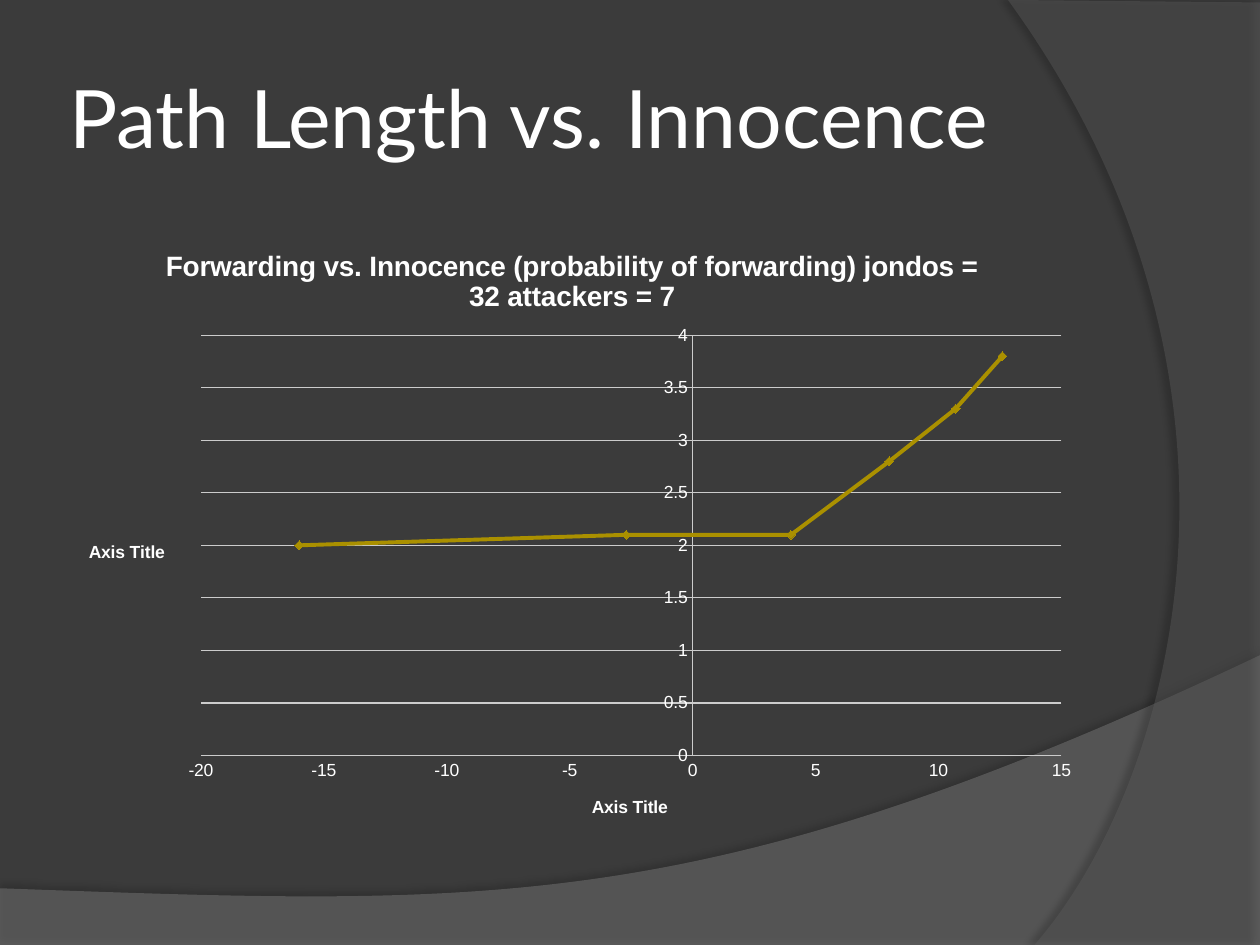
from lxml import etree
from pptx import Presentation
from pptx.chart.data import XyChartData
from pptx.dml.color import RGBColor
from pptx.enum.chart import XL_CHART_TYPE, XL_MARKER_STYLE, XL_TICK_MARK
from pptx.enum.text import MSO_ANCHOR, PP_ALIGN
from pptx.oxml import parse_xml
from pptx.oxml.ns import nsdecls, qn
from pptx.util import Inches, Pt

SCATTER_LINES = XL_CHART_TYPE.XY_SCATTER_LINES
DIAMOND = XL_MARKER_STYLE.DIAMOND
NO_TICK = XL_TICK_MARK.NONE
MIDDLE = MSO_ANCHOR.MIDDLE
LEFT = PP_ALIGN.LEFT

BACKGROUND = RGBColor(0x3B, 0x3B, 0x3B)
WHITE = RGBColor(0xFF, 0xFF, 0xFF)
GRID = RGBColor(0xCC, 0xCC, 0xCC)
GOLD = RGBColor(0xAA, 0x90, 0x00)
LOWER_GRAY = RGBColor(0x7F, 0x7F, 0x7F)
RIGHT_GRAY = RGBColor(0x5E, 0x5E, 0x5E)

TITLE = "Path Length vs. Innocence"
CHART_TITLE = ("Forwarding vs. Innocence (probability of forwarding) "
               "jondos = 32 attackers = 7")
AXIS_TITLE = "Axis Title"
POINTS = [(-16, 2), (-2.7, 2.1), (4, 2.1), (8, 2.8), (10.7, 3.3), (12.6, 3.8)]
PLOT_AREA = {"x": 0.134, "y": 0.184, "w": 0.836, "h": 0.674}
TITLE_AREA = {"x": 0.095, "y": 0.036}
SWEEPS = [
    {"corners": [(0, 7.05), (0, 7.51), (10, 7.51), (10, 5.2)],
     "curve": [(5.59, 7.29), (3.91, 7.19), (0, 7.05)],
     "color": LOWER_GRAY, "opacity": 45,
     "shadow": {"opacity": 35, "blur": 4, "distance": 3.5, "angle": 270}},
    {"corners": [(10, 0.02), (10, 7.5), (8.21, 7.5)],
     "curve": [(9.35, 6.19), (10.18, 3), (8, 0)],
     "color": RIGHT_GRAY, "opacity": 40,
     "shadow": {"opacity": 45, "blur": 4, "distance": 4, "angle": 180}},
]


def set_attributes(target, values):
    for name, value in values.items():
        setattr(target, name, value)


def set_font(font, size, bold, name="Arial"):
    set_attributes(font, {"size": Pt(size), "bold": bold, "name": name})
    font.color.rgb = WHITE


def bend_last_segment(shape, controls):
    segment = shape._element.spPr.findall(".//" + qn("a:lnTo"))[-1]
    curve = etree.Element(qn("a:cubicBezTo"))
    for x, y in controls:
        etree.SubElement(curve, qn("a:pt"), x=str(Inches(x) - shape.left),
                         y=str(Inches(y) - shape.top))
    segment.getparent().replace(segment, curve)


def add_sweep(slide, sweep):
    outline = [(Inches(x), Inches(y)) for x, y in sweep["corners"] + sweep["curve"][-1:]]
    builder = slide.shapes.build_freeform(*outline[0])
    builder.add_line_segments(outline[1:], close=True)
    shape = builder.convert_to_shape()
    bend_last_segment(shape, sweep["curve"])
    shape.line.fill.background()
    shape.fill.solid()
    shape.fill.fore_color.rgb = sweep["color"]
    color = shape._element.spPr.find(qn("a:solidFill"))[0]
    etree.SubElement(color, qn("a:alpha"), val=str(sweep["opacity"] * 1000))
    shape.shadow.inherit = False
    shadow = sweep["shadow"]
    shape._element.spPr.find(qn("a:effectLst")).append(parse_xml(
        f'<a:outerShdw {nsdecls("a")} blurRad="{Pt(shadow["blur"])}" '
        f'dist="{Pt(shadow["distance"])}" dir="{shadow["angle"] * 60000}" '
        f'algn="ctr" rotWithShape="0"><a:srgbClr val="000000">'
        f'<a:alpha val="{shadow["opacity"] * 1000}"/></a:srgbClr></a:outerShdw>'))


def add_title(slide):
    title = slide.shapes.title
    set_attributes(title, {"left": Inches(0.5), "top": Inches(0.3),
                           "width": Inches(8.17), "height": Inches(1.25)})
    frame = title.text_frame
    frame.text = TITLE
    set_attributes(frame, {"vertical_anchor": MIDDLE, "word_wrap": True,
                           **{f"margin_{side}": Inches(0.05)
                              for side in ("left", "top", "right", "bottom")}})
    paragraph = frame.paragraphs[0]
    paragraph.alignment = LEFT
    set_font(paragraph.runs[0].font, 46, False, "Lato")


def set_heading(heading, text, size):
    heading.text_frame.text = text
    set_font(heading.text_frame.paragraphs[0].runs[0].font, size, True)


def set_layout(element, position, area, target=""):
    for layout in element.findall(qn("c:layout")):
        element.remove(layout)
    sizes = "".join(f'<c:{key} val="{value}"/>' for key, value in area.items())
    element.insert(position, parse_xml(
        f'<c:layout {nsdecls("c")}><c:manualLayout>{target}<c:xMode val="edge"/>'
        f'<c:yMode val="edge"/>{sizes}</c:manualLayout></c:layout>'))


def format_axis(axis, minimum, maximum, step):
    set_attributes(axis, {"minimum_scale": minimum, "maximum_scale": maximum,
                          "major_unit": step, "major_tick_mark": NO_TICK,
                          "minor_tick_mark": NO_TICK, "has_title": True})
    set_heading(axis.axis_title, AXIS_TITLE, 10)
    axis.tick_labels.number_format = "General"
    axis.tick_labels.number_format_is_linked = False
    axis.format.line.color.rgb = GRID
    axis.format.line.width = Pt(0.75)


def add_scatter(slide):
    data = XyChartData()
    series_data = data.add_series("Series 1")
    for x, y in POINTS:
        series_data.add_data_point(x, y)
    chart = slide.shapes.add_chart(SCATTER_LINES, Inches(0.5), Inches(1.75),
                                   Inches(8.17), Inches(4.95), data).chart
    chart.has_legend = False
    set_font(chart.font, 10, False)
    chart.has_title = True
    set_heading(chart.chart_title, CHART_TITLE, 16)
    chart.plots[0].vary_by_categories = False

    format_axis(chart.category_axis, -20, 15, 5)
    chart.category_axis.has_major_gridlines = False
    format_axis(chart.value_axis, 0, 4, 0.5)
    chart.value_axis.has_major_gridlines = True
    grid_line = chart.value_axis.major_gridlines.format.line
    grid_line.color.rgb = GRID
    grid_line.width = Pt(0.75)
    body = chart.value_axis.axis_title.text_frame._txBody.bodyPr
    body.set("rot", "0")
    body.set("vert", "horz")

    series = chart.plots[0].series[0]
    series.smooth = False
    series.format.line.color.rgb = GOLD
    series.format.line.width = Pt(2.25)
    set_attributes(series.marker, {"style": DIAMOND, "size": 5})
    series.marker.format.fill.solid()
    series.marker.format.fill.fore_color.rgb = GOLD
    series.marker.format.line.color.rgb = GOLD

    set_layout(chart._chartSpace.chart.plotArea, 0, PLOT_AREA,
               '<c:layoutTarget val="inner"/>')
    set_layout(chart.chart_title._element, 1, TITLE_AREA)


def main():
    presentation = Presentation()
    set_attributes(presentation, {"slide_width": Inches(10), "slide_height": Inches(7.5)})
    slide = presentation.slides.add_slide(presentation.slide_layouts[5])
    slide.background.fill.solid()
    slide.background.fill.fore_color.rgb = BACKGROUND
    for sweep in SWEEPS:
        add_sweep(slide, sweep)
    add_title(slide)
    add_scatter(slide)
    presentation.save("out.pptx")


if __name__ == "__main__":
    main()
